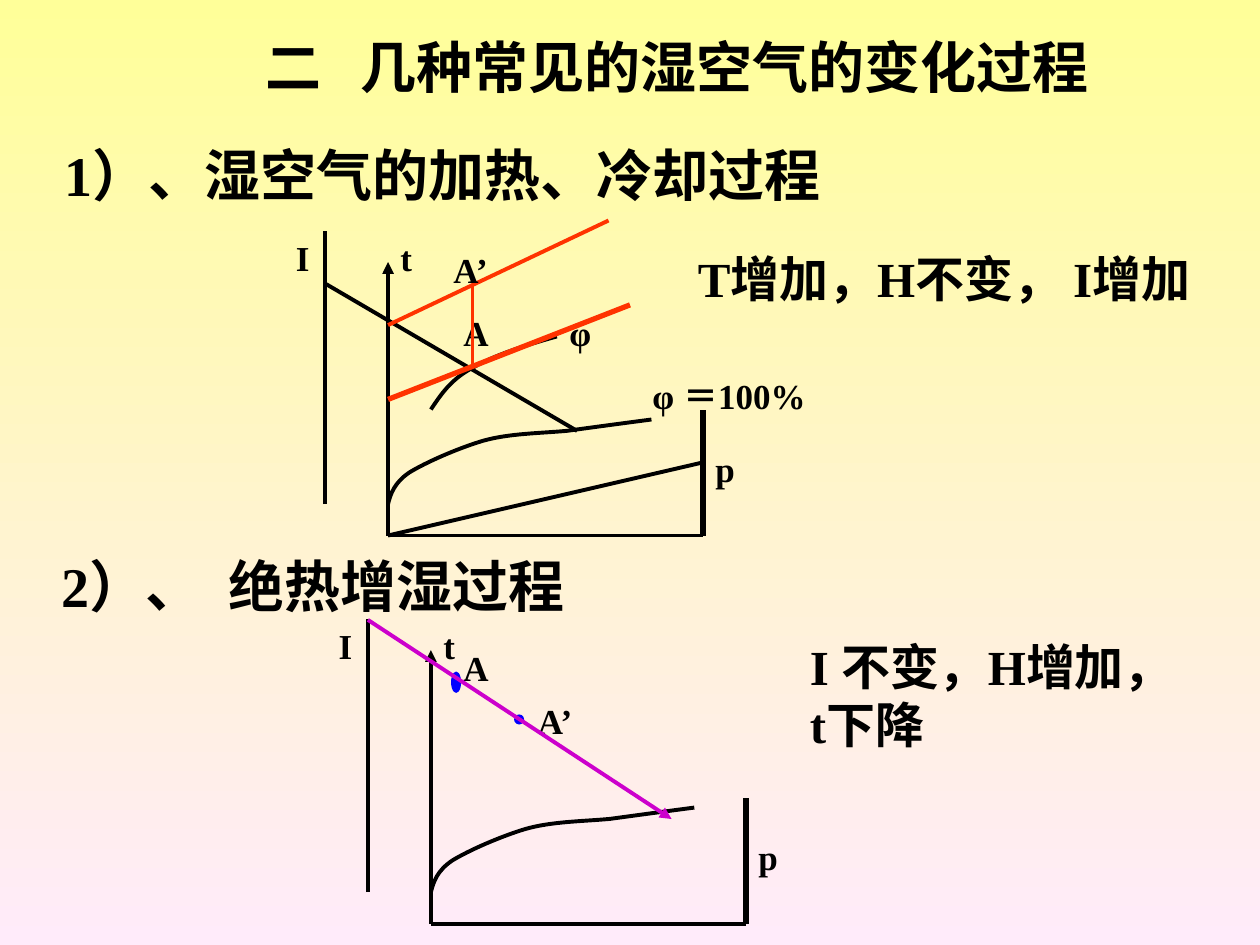
from dataclasses import dataclass
from typing import NamedTuple

from lxml import etree
from pptx import Presentation
from pptx.dml.color import RGBColor as RGB
from pptx.enum.shapes import MSO_CONNECTOR as Conn, MSO_SHAPE as Shape
from pptx.enum.text import MSO_ANCHOR as Anchor, PP_ALIGN as Align
from pptx.oxml.ns import qn
from pptx.util import Inches, Pt


@dataclass(frozen=True)
class Theme:
    font: str = "Times New Roman"
    ink: str = "000000"
    red: str = "FF3300"
    purple: str = "CC00CC"
    blue: str = "0000FF"
    bg_top: str = "FFFF99"
    bg_bottom: str = "FFEBFA"
    heading: int = 32
    note: int = 28
    label: int = 20
    thin: float = 2.25
    thick: float = 3


T = Theme()


class Point(NamedTuple):
    x: float
    y: float

    def moved(self, by: "Point") -> "Point":
        return Point(self.x + by.x, self.y + by.y)


class Run(NamedTuple):
    text: str
    spacing: int = 0


class Text(NamedTuple):
    x: float
    y: float
    w: float
    h: float
    runs: list[Run]
    size: int = T.label
    indent: float = 0
    align: Align = Align.LEFT


class Line(NamedTuple):
    start: Point
    end: Point
    color: str = T.ink
    width: float = T.thin
    arrow: bool = False


class Dot(NamedTuple):
    x: float
    y: float
    w: float
    h: float


def label(text: str, x: float, y: float, w: float = 0.5) -> Text:
    return Text(x, y, w, 0.44, [Run(text)])


def draw_text(shapes, t: Text) -> None:
    sp = shapes.add_textbox(Inches(t.x), Inches(t.y), Inches(t.w), Inches(t.h))
    tf = sp.text_frame
    tf.word_wrap = True
    tf.vertical_anchor = Anchor.TOP
    p = tf.paragraphs[0]
    p.alignment = t.align
    p_pr = p._p.get_or_add_pPr()
    p_pr.set("hangingPunct", "0")
    if t.indent:
        p_pr.set("marL", str(Inches(t.indent)))
    for run in t.runs:
        r = p.add_run()
        r.text = run.text
        r.font.name, r.font.size, r.font.bold = T.font, Pt(t.size), True
        r.font.color.rgb = RGB.from_string(T.ink)
        if run.spacing:
            r._r.get_or_add_rPr().set("spc", str(run.spacing * 100))


def draw_line(shapes, line: Line) -> None:
    ends = [Inches(v) for v in (*line.start, *line.end)]
    c = shapes.add_connector(Conn.STRAIGHT, *ends)
    c.line.color.rgb = RGB.from_string(line.color)
    c.line.width = Pt(line.width)
    if line.arrow:
        etree.SubElement(c.line._get_or_add_ln(), qn("a:tailEnd"), type="triangle")
    etree.SubElement(c._element.spPr, qn("a:effectLst"))


def draw_curve(shapes, knots: list[Point]) -> None:
    fb = shapes.build_freeform(Inches(knots[0].x), Inches(knots[0].y))
    fb.add_line_segments([(Inches(q.x), Inches(q.y)) for q in knots[1:]], close=False)
    sp = fb.convert_to_shape()
    segments = list(sp._element.iter(qn("a:lnTo")))
    outline = segments[0].getparent()
    for i in range(0, len(segments), 3):
        cubic = etree.SubElement(outline, qn("a:cubicBezTo"))
        for segment in segments[i:i + 3]:
            cubic.append(segment[0])
            outline.remove(segment)
    sp.shadow.inherit = False
    sp.fill.background()
    sp.line.color.rgb = RGB.from_string(T.ink)
    sp.line.width = Pt(T.thin)


def draw_dot(shapes, d: Dot) -> None:
    sp = shapes.add_shape(Shape.OVAL, *(Inches(v) for v in d))
    sp.shadow.inherit = False
    sp.fill.solid()
    sp.fill.fore_color.rgb = RGB.from_string(T.blue)
    sp.line.fill.background()


SATURATION = [Point(*q) for q in (
    (3.08, 4), (3.1, 3.92), (3.13, 3.83), (3.25, 3.75), (3.38, 3.67),
    (3.63, 3.56), (3.83, 3.5), (4.04, 3.44), (4.28, 3.44), (4.5, 3.42),
    (4.72, 3.39), (4.94, 3.36), (5.17, 3.33))]
HUMIDITY = [Point(*q) for q in (
    (3.42, 3.25), (3.5, 3.13), (3.58, 3.01), (3.75, 2.92),
    (3.92, 2.82), (4.17, 2.74), (4.42, 2.67))]
ORIGIN, CORNER = Point(3.08, 4.25), Point(5.58, 4.25)
AXES = [
    Line(ORIGIN, Point(3.08, 2.08), arrow=True),
    Line(ORIGIN, CORNER),
    Line(CORNER, Point(5.58, 3.25), width=T.thick),
    Line(Point(2.58, 4), Point(2.58, 1.83)),
]
AXIS_LABELS = [("I", 2.25, 1.83), ("t", 3.08, 1.83), ("p", 5.58, 3.5)]


def draw_diagram(shapes, by: Point):
    group = shapes.add_group_shape().shapes
    draw_curve(group, [q.moved(by) for q in SATURATION])
    for axis in AXES:
        draw_line(group, axis._replace(start=axis.start.moved(by), end=axis.end.moved(by)))
    for text, x, y in AXIS_LABELS:
        draw_text(group, label(text, x + by.x, y + by.y, 0.33))
    return group


def draw_heating(shapes) -> None:
    draw_curve(shapes, HUMIDITY)
    draw_line(shapes, Line(Point(2.58, 2.25), Point(4.58, 3.42)))
    draw_text(shapes, label("φ", 4.42, 2.42))
    group = draw_diagram(shapes, Point(0, 0))
    draw_line(group, Line(ORIGIN, Point(5.58, 3.67)))
    draw_text(group, label("φ ＝100%", 5.08, 2.92, 1.83))
    draw_text(shapes, label("A", 3.58, 2.42))
    for line in (
        Line(Point(3.08, 3.17), Point(5, 2.42), T.red, T.thick),
        Line(Point(3.75, 2.92), Point(3.75, 2.25), T.red),
        Line(Point(3.08, 2.58), Point(4.83, 1.75), T.red),
    ):
        draw_line(shapes, line)
    draw_text(shapes, label("A’", 3.5, 1.92))


def draw_humidifying(shapes) -> None:
    draw_diagram(shapes, Point(0.34, 3.08))
    draw_dot(shapes, Dot(4.08, 5.67, 0.08, 0.08))
    draw_text(shapes, label("A’", 4.17, 5.5))
    draw_dot(shapes, Dot(3.58, 5.33, 0.08, 0.17))
    draw_text(shapes, label("A", 3.58, 5.08))
    draw_line(shapes, Line(Point(2.92, 4.92), Point(5.33, 6.5), T.purple, arrow=True))


def main() -> None:
    prs = Presentation()
    prs.slide_width, prs.slide_height = Inches(10), Inches(7.5)
    s = prs.slides.add_slide(prs.slide_layouts[6])
    fill = s.background.fill
    fill.gradient()
    fill.gradient_angle = 270
    for stop, color in zip(fill.gradient_stops, (T.bg_top, T.bg_bottom)):
        stop.color.rgb = RGB.from_string(color)

    for text in (
        Text(0.75, 0.21, 9.25, 0.79, [Run("二"), Run(" ", 15), Run("几种常见的湿空气的变化过程")],
             T.heading, align=Align.CENTER),
        Text(0.27, 1.07, 6.92, 0.64, [Run("1）、湿空气的加热、冷却过程")], T.heading, 0.14),
        Text(-0.05, 4.33, 4.9, 0.64, [Run("2）、"), Run(" ", 8), Run("绝热增湿过程")],
             T.heading, 0.44),
        Text(5.44, 1.92, 4.7, 0.57, [Run("T增加，H不变， I增加")], T.note),
        Text(6.33, 5, 3.17, 1.04, [Run("I 不变，H增加，t下降")], T.note),
    ):
        draw_text(s.shapes, text)
    draw_heating(s.shapes)
    draw_humidifying(s.shapes)
    prs.save("out.pptx")


if __name__ == "__main__":
    main()
